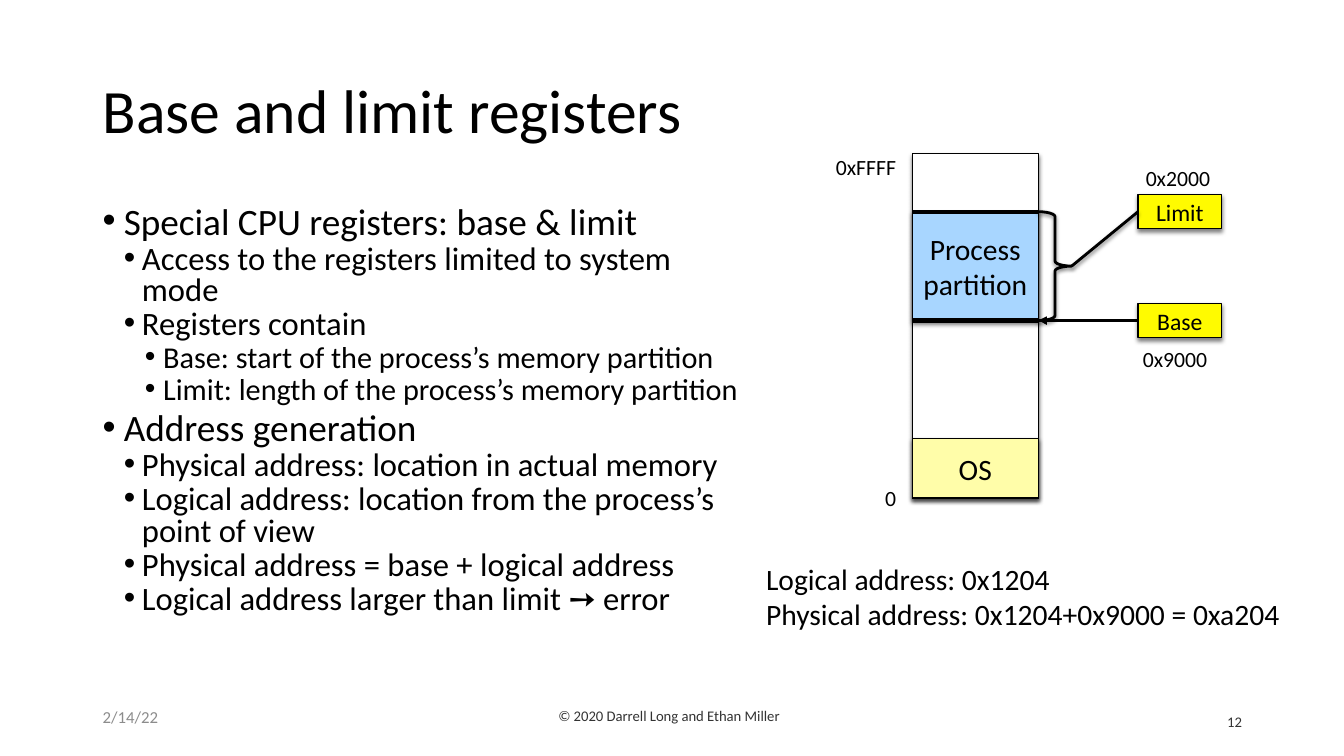
"""Build the slide on base and limit registers."""
from lxml import etree
from pptx import Presentation
from pptx import util as u
from pptx.dml.color import RGBColor
from pptx.enum import shapes, text
from pptx.oxml.ns import qn

BLACK = RGBColor(0x00, 0x00, 0x00)
WHITE = RGBColor(0xFF, 0xFF, 0xFF)
BLUE = RGBColor(0xA8, 0xD6, 0xFF)
CREAM = RGBColor(0xFF, 0xFD, 0xA9)
YELLOW = RGBColor(0xFF, 0xFB, 0x00)
DARK_GREY = RGBColor(0x33, 0x33, 0x33)
GREY = RGBColor(0x8C, 0x8C, 0x8C)
LEFT, CENTER, RIGHT = text.PP_ALIGN.LEFT, text.PP_ALIGN.CENTER, text.PP_ALIGN.RIGHT
TOP, MIDDLE = text.MSO_ANCHOR.TOP, text.MSO_ANCHOR.MIDDLE
STRAIGHT = shapes.MSO_CONNECTOR.STRAIGHT
RECTANGLE = shapes.MSO_SHAPE.RECTANGLE
TIGHT = u.Inches(0.04)

deck = Presentation()
deck.slide_width, deck.slide_height = u.Inches(13.33), u.Inches(7.5)
COL, ROW = deck.slide_width / 100, deck.slide_height / 100
slide = deck.slides.add_slide(deck.slide_layouts[6])


def write(holder, words, size, color=BLACK, align=LEFT, anchor=MIDDLE, tight=True, wrap=True):
    """Put words into a shape, one line per line break."""
    frame = holder.text_frame
    frame.word_wrap, frame.vertical_anchor = wrap, anchor
    if tight:
        frame.margin_left = frame.margin_right = TIGHT
        frame.margin_top = frame.margin_bottom = TIGHT
    paragraph = frame.paragraphs[0]
    paragraph.alignment = align
    for number, line in enumerate(words.split("\n")):
        if number:
            paragraph.add_line_break()
        run = paragraph.add_run()
        run.text = line
        run.font.name, run.font.size, run.font.color.rgb = "Calibri", u.Pt(size), color
    return paragraph


def outline(part, width, shadow=True):
    """Draw a black outline and either a soft shadow or none."""
    part.line.color.rgb, part.line.width = BLACK, u.Pt(width)
    effects = etree.SubElement(part._element.spPr, qn("a:effectLst"))
    if shadow:
        drop = etree.SubElement(effects, qn("a:outerShdw"), blurRad=str(u.Pt(3)),
                                dist=str(u.Pt(2)), dir="5400000", rotWithShape="0")
        shade = etree.SubElement(drop, qn("a:srgbClr"), val=str(BLACK))
        etree.SubElement(shade, qn("a:alpha"), val="50000")


LEVELS = [(26.6, 0.21, 0.21, 4.9), (23.3, 0.39, 0.18, 2.1), (21.6, 0.6, 0.18, 2.1)]
points = [
    (0, "Special CPU registers: base & limit"),
    (1, "Access to the registers limited to system mode"),
    (1, "Registers contain"),
    (2, "Base: start of the process’s memory partition"),
    (2, "Limit: length of the process’s memory partition"),
    (0, "Address generation"),
    (1, "Physical address: location in actual memory"),
    (1, "Logical address: location from the process’s point of view"),
    (1, "Physical address = base + logical address"),
    (1, "Logical address larger than limit ➙ error"),
]
body = slide.shapes.add_textbox(6.9 * COL, 26.67 * ROW, 49.2 * COL, 63.47 * ROW).text_frame
body.word_wrap = True
for number, (level, words) in enumerate(points):
    size, indent, hang, before = LEVELS[level]
    point = body.add_paragraph() if number else body.paragraphs[0]
    point.level, point.line_spacing, point.space_before = level, 0.8, u.Pt(before)
    run = point.add_run()
    run.text = words
    run.font.name, run.font.size, run.font.color.rgb = "Calibri", u.Pt(size), BLACK
    properties = point._p.get_or_add_pPr()
    properties.set("marL", str(u.Inches(indent)))
    properties.set("indent", str(-u.Inches(hang)))
    etree.SubElement(properties, qn("a:buFont"), typeface="Arial")
    etree.SubElement(properties, qn("a:buChar"), char="•")

title = slide.shapes.add_textbox(6.9 * COL, 5.33 * ROW, 86.25 * COL, 19.33 * ROW)
write(title, "Base and limit registers", 44, tight=False).line_spacing = 0.9

memory_left, memory_width = 67.88, 9.38
memory_right = memory_left + memory_width
memory_top, memory_bottom = 20.27, 65.87
limit_row, base_row = 28, 42.4
for top, bottom, color, words in [
    (memory_top, memory_bottom, WHITE, ""),
    (limit_row, base_row, BLUE, "Process partition"),
    (58, memory_bottom, CREAM, "OS"),
]:
    region = slide.shapes.add_shape(RECTANGLE, memory_left * COL, top * ROW,
                                    memory_width * COL, (bottom - top) * ROW)
    region.fill.solid()
    region.fill.fore_color.rgb = color
    outline(region, 1)
    if words:
        write(region, words, 21.1, align=CENTER)

register_left, register_width, register_height = 84.68, 6.22, 4.53
registers = {}
for name, row in [("Limit", limit_row), ("Base", base_row)]:
    register = slide.shapes.add_shape(
        RECTANGLE, register_left * COL, (row - register_height / 2) * ROW,
        register_width * COL, register_height * ROW)
    register.fill.solid()
    register.fill.fore_color.rgb = YELLOW
    outline(register, 1)
    write(register, name, 16.9, align=CENTER)
    registers[name] = register

brace_width = 2.48
brace_tip, brace_row = memory_right + brace_width, (limit_row + base_row) / 2
brace = slide.shapes.add_shape(shapes.MSO_SHAPE.RIGHT_BRACE, memory_right * COL, limit_row * ROW,
                               brace_width * COL, (base_row - limit_row) * ROW)
brace.adjustments[0] = 0.15
brace.fill.background()
outline(brace, 2)

for start, start_row, end, end_row, width, shadow, source, arrow in [
    (memory_left, base_row, memory_right, base_row, 3, False, None, False),
    (memory_left, limit_row, memory_right, limit_row, 3, False, None, False),
    (register_left, base_row, memory_right, base_row, 2, False, "Base", True),
    (register_left, limit_row, brace_tip, brace_row, 2, True, "Limit", False),
]:
    link = slide.shapes.add_connector(STRAIGHT, u.Emu(start * COL), u.Emu(start_row * ROW),
                                      u.Emu(end * COL), u.Emu(end_row * ROW))
    if source:
        link.begin_connect(registers[source], 1)
    outline(link, width, shadow)
    if arrow:
        etree.SubElement(link.line._get_or_add_ln(), qn("a:tailEnd"), type="triangle")

for left, top, width, words in [
    (65.55, 63.6, 1.43, "0"),
    (61.88, 19.73, 5.1, "0xFFFF"),
    (84.9, 21.2, 5.48, "0x2000"),
    (84.68, 45.2, 5.48, "0x9000"),
]:
    address = slide.shapes.add_textbox(left * COL, top * ROW, width * COL, 4.53 * ROW)
    write(address, words, 15.5, align=CENTER, wrap=False)

example = slide.shapes.add_textbox(56.7 * COL, 73.6 * ROW, 39.3 * COL, 10.53 * ROW)
write(example, "Logical address: 0x1204\nPhysical address: 0x1204+0x9000 = 0xa204", 21.1)

for left, width, words, size, color, align, anchor, after in [
    (86.7, 6.45, "12", 10.5, DARK_GREY, RIGHT, MIDDLE, 6),
    (40.8, 43.13, "© 2020 Darrell Long and Ethan Miller", 10.5, DARK_GREY, LEFT, TOP, 6),
    (6.9, 10.2, "2/14/22", 12, GREY, LEFT, TOP, 0),
]:
    footer = slide.shapes.add_textbox(left * COL, 92.8 * ROW, width * COL, 5.33 * ROW)
    write(footer, words, size, color, align, anchor, tight=False).space_after = u.Pt(after)

deck.save("out.pptx")
